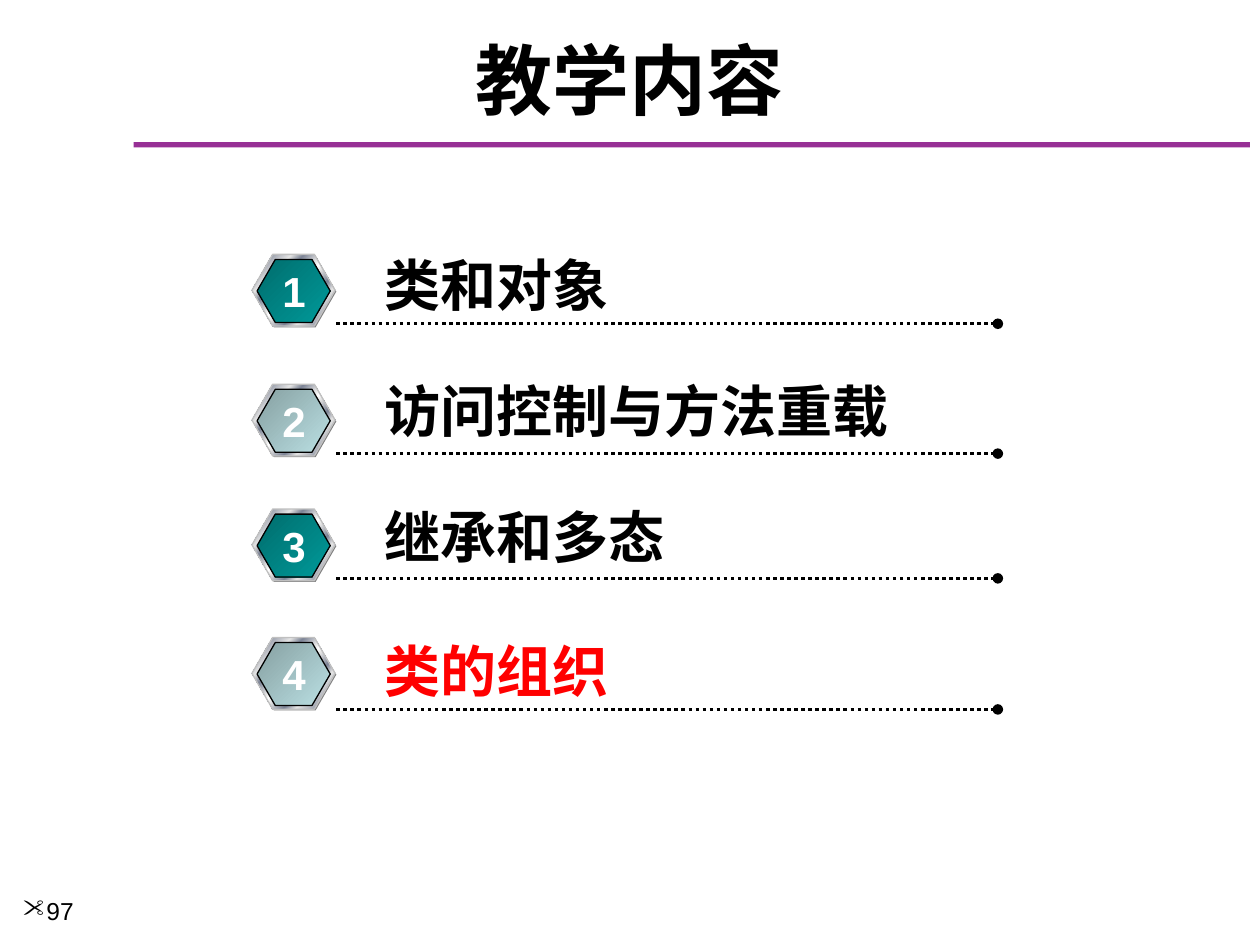
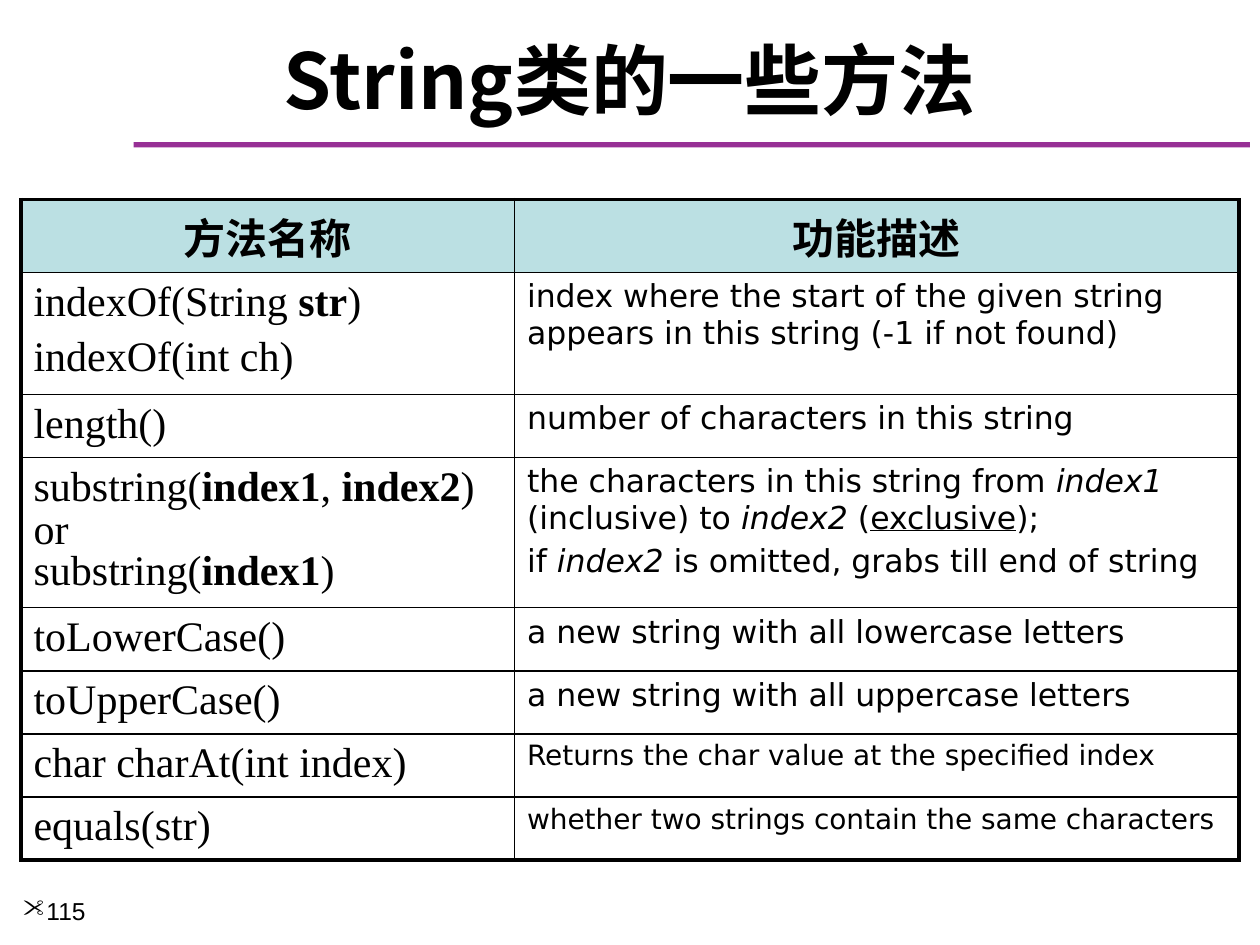
import pptx
import pptx.dml.color
import pptx.enum.shapes
import pptx.enum.text
import pptx.oxml.ns
import pptx.util
from lxml import etree

Pt = pptx.util.Pt
qn = pptx.oxml.ns.qn
SHAPE = pptx.enum.shapes.MSO_SHAPE
ALIGN = pptx.enum.text.PP_ALIGN
ANCHOR = pptx.enum.text.MSO_ANCHOR

# ---- Content ----
AGENDA_TITLE, AGENDA_NUMBER = "教学内容", "97"
# label, colour, label top, badge top, dotted rule height
AGENDA = [
    ("类和对象", "black", 139.7, 145.4, 185),
    ("访问控制与方法重载", "black", 211.7, 219.6, 259.2),
    ("继承和多态", "black", 283.7, 290.9, 330.5),
    ("类的组织", "red", 360, 364.3, 405.4),
]

METHODS_TITLE, METHODS_NUMBER = "String类的一些方法", "115"
HEADINGS = ["方法名称", "功能描述"]
# Paragraphs hold plain strings or (text, style) pairs
# row height, name paragraphs, description size, description paragraphs
METHODS = [
    (65.1, [["indexOf(String ", ("str", "bold"), ")"], ["indexOf(int ch)"]],
     "detail",
     [["index where the start of the given string appears in this string "
       "(-1 if not found)"]]),
    (33.7, [["length()"]], "detail", [["number of characters in this string"]]),
    (80, [["substring(", ("index1", "bold"), ", ", ("index2", "bold"), ")"],
          ["or"],
          ["substring(", ("index1", "bold"), ")"]],
     "detail",
     [["the characters in this string from ", ("index1", "italic"),
       " (inclusive) to ", ("index2", "italic"), " (",
       ("exclusive", "underline"), ");"],
      ["if ", ("index2", "italic"), " is omitted, grabs till end of string"]]),
    (33.7, [["toLowerCase()"]], "detail",
     [["a new string with all lowercase letters"]]),
    (33.7, [["toUpperCase()"]], "detail",
     [["a new string with all uppercase letters"]]),
    (33.7, [["char charAt(int index)"]], "small",
     [["Returns the char value at the specified index"]]),
    (33.7, [["equals(str)"]], "small",
     [["whether two strings contain the same characters"]]),
]

# ---- Theme ----
SILVER, STEEL = "E6E6E6", "7D8496"
THEME = {
    "colors": {"black": "000000", "red": "FF0000", "white": "FFFFFF",
               "band": "973095", "header": "BBE0E3", "shade": "808080",
               "rim": "C0C0C0"},
    "sizes": {"title": 44, "item": 32, "badge": 24, "cell": 24,
              "detail": 18, "small": 16, "number": 14},
    "fonts": {"cjk": "Noto Sans CJK SC", "sans": "Arial",
              "serif": "Times New Roman", "table": "DejaVu Sans"},
    "metal": [(0, SILVER), (8, STEEL), (26, SILVER), (34, STEEL), (46, SILVER),
              (50, "FFFFFF"), (54, SILVER), (66, STEEL), (74, SILVER),
              (92, STEEL), (100, SILVER)],
    "badges": [[(0, "006D6D"), (100, "009999")],
               [(0, "86A0A2"), (100, "BBE0E3")]],
}


def color(name):
    return pptx.dml.color.RGBColor.from_string(THEME["colors"][name])


def place(left, top, width, height):
    return [Pt(value) for value in (left, top, width, height)]


def set_all(target, values):
    for name, value in values.items():
        setattr(target, name, value)


# ---- Text ----
def write(para, runs, size, font, ink="black", **style):
    for run in runs:
        text, extra = (run, None) if isinstance(run, str) else run
        span = para.add_run()
        span.text = text
        values = {"size": Pt(THEME["sizes"][size]), "name": THEME["fonts"][font],
                  "bold": False, **style}
        if extra:
            values[extra] = True
        span.font.color.rgb = color(ink)
        set_all(span.font, values)
        east = etree.Element(qn("a:ea"), typeface=THEME["fonts"]["cjk"])
        span.font._element.find(qn("a:latin")).addnext(east)


def write_paragraphs(frame, paragraphs, size, font, **style):
    for index, runs in enumerate(paragraphs):
        para = frame.add_paragraph() if index else frame.paragraphs[0]
        if index:
            para.space_before = Pt(THEME["sizes"][size] * 0.2)
        write(para, runs, size, font, **style)


def add_label(shapes, text, area, size, wrap=False, align=ALIGN.LEFT, **style):
    box = shapes.add_textbox(*place(*area))
    box.text_frame.word_wrap = wrap
    para = box.text_frame.paragraphs[0]
    para.alignment = align
    write(para, [text], size, "sans", **style)
    return para


# ---- Shapes ----
def add_shape(shapes, kind, area, fill=None, stops=None, edge=None):
    shape = shapes.add_shape(kind, *place(*area))
    shape.shadow.inherit = False
    if stops:
        shape.fill.gradient()
        gradient = shape.element.spPr.find(qn("a:gradFill"))
        stop_list = gradient.find(qn("a:gsLst"))
        stop_list.clear()
        for position, value in stops:
            stop = etree.SubElement(stop_list, qn("a:gs"), pos=str(position * 1000))
            etree.SubElement(stop, qn("a:srgbClr"), val=value)
        gradient.find(qn("a:lin")).set("ang", str(45 * 60000))
    else:
        shape.fill.solid()
        shape.fill.fore_color.rgb = color(fill)
    if edge:
        shape.line.color.rgb = color(edge)
        shape.line.width = Pt(0.75)
    else:
        shape.line.fill.background()
    return shape


def add_badge(page, index, top):
    group = page.shapes.add_group_shape()
    layers = [
        ((144.7, top + 0.7, 47.5, 41), {"fill": "shade"}),
        ((144, top, 47.5, 41), {"stops": THEME["metal"], "edge": "rim"}),
        ((146.9, top + 2.9, 41.8, 36),
         {"stops": THEME["badges"][index % 2], "edge": "black"}),
    ]
    for area, look in layers:
        hexagon = add_shape(group.shapes, SHAPE.HEXAGON, area, **look)
        hexagon.adjustments[0] = 0.289
    add_label(group.shapes, str(index + 1), (154.1, top + 3, 28, 36), "badge",
              align=ALIGN.CENTER, ink="white", bold=True)


def add_dotted_rule(page, height):
    rule = page.shapes.add_connector(
        pptx.enum.shapes.MSO_CONNECTOR.STRAIGHT,
        Pt(192.2), Pt(height), Pt(570.2), Pt(height))
    rule.line.color.rgb = color("black")
    rule.line.width = Pt(2)
    outline = rule.element.spPr.find(qn("a:ln"))
    etree.SubElement(outline, qn("a:prstDash"), val="sysDot")
    etree.SubElement(outline, qn("a:tailEnd"), type="oval")
    etree.SubElement(rule.element.spPr, qn("a:effectLst"))


# ---- Shared page frame ----
def add_page(deck, title, number):
    page = deck.slides.add_slide(deck.slide_layouts[5])
    add_shape(page.shapes, SHAPE.RECTANGLE, (76.3, 81.2, 638, 3), fill="band")

    box = page.shapes.title
    set_all(box, dict(zip(("left", "top", "width", "height"),
                          place(12, 18, 696, 54))))
    set_all(box.text_frame, {"vertical_anchor": ANCHOR.MIDDLE, "word_wrap": True,
                             "auto_size": pptx.enum.text.MSO_AUTO_SIZE.NONE})
    para = box.text_frame.paragraphs[0]
    para.alignment = ALIGN.CENTER
    write(para, [title], "title", "cjk", bold=True)

    para = add_label(page.shapes, number, (6, 508.5, 78, 31.5), "number", wrap=True)
    settings = para._p.get_or_add_pPr()
    settings.set("marL", str(Pt(13)))
    settings.set("indent", str(-Pt(13)))
    etree.SubElement(settings, qn("a:buFont"), typeface="Wingdings", charset="2")
    etree.SubElement(settings, qn("a:buChar"), char='"')
    return page


# ---- Table ----
def set_borders(cell_element, widths):
    settings = cell_element.get_or_add_tcPr()
    for index, (side, width) in enumerate(widths.items()):
        border = etree.Element(qn("a:ln" + side), w=str(Pt(width)))
        fill = etree.SubElement(border, qn("a:solidFill"))
        etree.SubElement(fill, qn("a:srgbClr"), val=THEME["colors"]["black"])
        settings.insert(index, border)


def add_method_table(page):
    heights = [41.7] + [method[0] for method in METHODS]
    frame = page.shapes.add_table(len(heights), 2,
                                  *place(12, 114, 696, sum(heights)))
    table = frame.table
    set_all(table, {"first_row": False, "horz_banding": False})
    for column, width in zip(table.columns, (282, 414)):
        column.width = Pt(width)
    for row, height in zip(table.rows, heights):
        row.height = Pt(height)

    for column, heading in enumerate(HEADINGS):
        cell = table.cell(0, column)
        cell.fill.solid()
        cell.fill.fore_color.rgb = color("header")
        para = cell.text_frame.paragraphs[0]
        para.alignment = ALIGN.CENTER
        write(para, [heading], "cell", "table", bold=True)

    for row, (_, names, detail_size, details) in enumerate(METHODS, 1):
        name_cell, detail_cell = table.cell(row, 0), table.cell(row, 1)
        for cell in (name_cell, detail_cell):
            cell.fill.background()
        write_paragraphs(name_cell.text_frame, names, "cell", "serif")
        write_paragraphs(detail_cell.text_frame, details, detail_size, "table")
        if len(names) > 2:
            for para in name_cell.text_frame.paragraphs[1:]:
                para.line_spacing = 0.7

    # Thick outer frame, thin inner grid
    last = len(heights) - 1
    for index, element in enumerate(frame.element.iter(qn("a:tc"))):
        row, column = divmod(index, 2)
        outer = {"L": column == 0, "R": column == 1,
                 "T": row == 0, "B": row == last}
        set_borders(element, {side: 2.25 if thick else 1
                              for side, thick in outer.items()})


def main():
    deck = pptx.Presentation()
    deck.slide_width, deck.slide_height = Pt(720), Pt(540)

    # Agenda
    page = add_page(deck, AGENDA_TITLE, AGENDA_NUMBER)
    for index, (label, ink, label_top, badge_top, rule) in enumerate(AGENDA):
        add_dotted_rule(page, rule)
        width = 16 + THEME["sizes"]["item"] * len(label)
        add_label(page.shapes, label, (212.4, label_top, width, 46), "item",
                  ink=ink, bold=True)
        add_badge(page, index, badge_top)

    # String methods
    page = add_page(deck, METHODS_TITLE, METHODS_NUMBER)
    add_method_table(page)

    deck.save("out.pptx")


if __name__ == "__main__":
    main()
